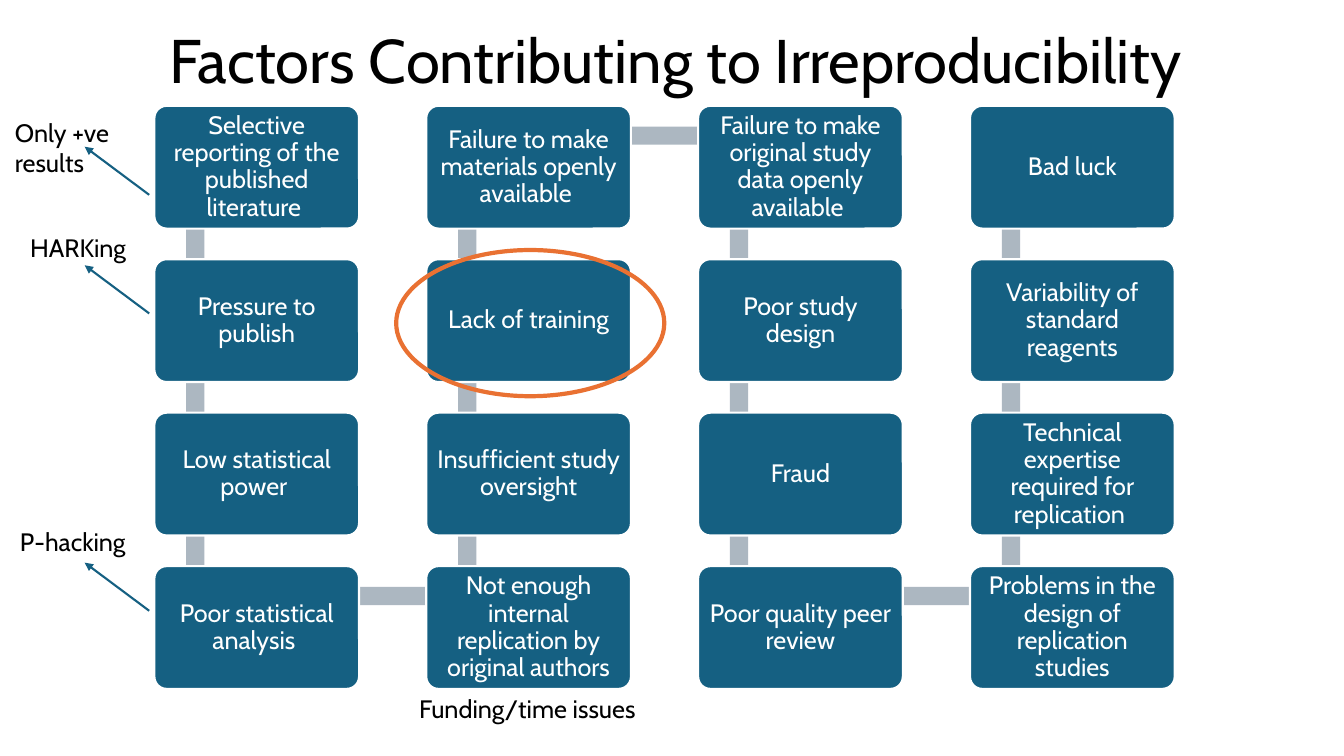
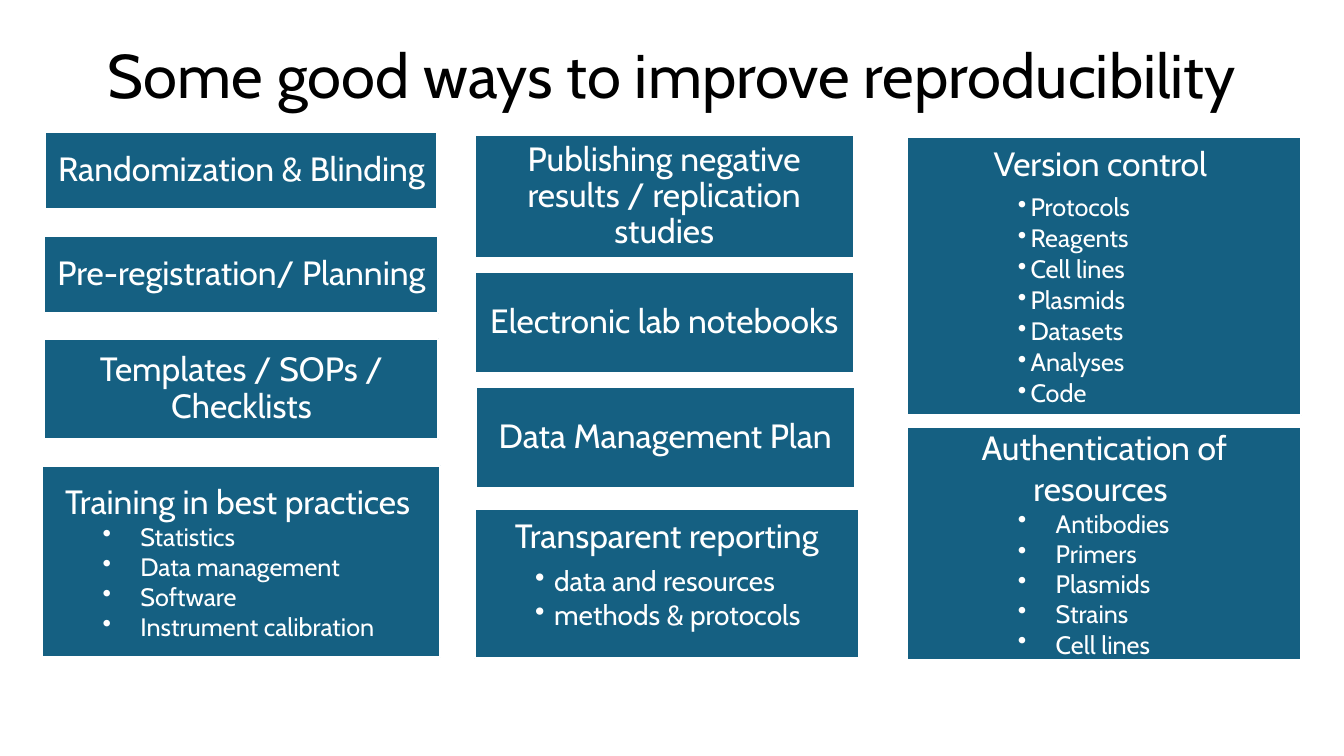
from pptx import Presentation
from pptx.util import Pt
from pptx.dml.color import RGBColor
from pptx.enum.shapes import MSO_CONNECTOR, MSO_SHAPE
from pptx.enum.text import MSO_ANCHOR, PP_ALIGN
from pptx.oxml.ns import qn
from lxml.etree import SubElement

COLORS = {"blue": "156082", "grey": "ACB7C1", "orange": "E97132",
          "white": "FFFFFF", "black": "000000"}


class Deck:
    font = "Cabin"

    def __init__(self):
        self.show = Presentation()
        self.show.slide_width, self.show.slide_height = Pt(960), Pt(540)
        self.slide = None

    def page(self):
        self.slide = self.show.slides.add_slide(self.show.slide_layouts[6])

    def color(self, name):
        return RGBColor.from_string(COLORS[name])

    def fill_par(self, par, text, size, color, align=PP_ALIGN.LEFT, line=1, after=0):
        par.text = text
        par.alignment = align
        par.line_spacing = line
        par.space_after = Pt(after)
        par.font.name = self.font
        par.font.size = Pt(size)
        par.font.color.rgb = self.color(color)

    def label(self, text, x, y, w, h, size=18, align=PP_ALIGN.LEFT, line=1):
        frame = self.slide.shapes.add_textbox(Pt(x), Pt(y), Pt(w), Pt(h)).text_frame
        frame.word_wrap = True
        self.fill_par(frame.paragraphs[0], text, size, "black", align, line)

    def title(self, text, x, y, align):
        self.label(text, x, y, 828, 104.4, 44, align, 0.9)

    def shape(self, kind, x, y, w, h, fill=None, edge=None, width=1.5):
        item = self.slide.shapes.add_shape(kind, Pt(x), Pt(y), Pt(w), Pt(h))
        item.shadow.inherit = False
        if fill:
            item.fill.solid()
            item.fill.fore_color.rgb = self.color(fill)
        else:
            item.fill.background()
        if edge:
            item.line.color.rgb = self.color(edge)
            item.line.width = Pt(width)
        else:
            item.line.fill.background()
        return item

    def card(self, kind, text, x, y, w, h, size, inset, anchor=MSO_ANCHOR.MIDDLE,
             line=0.9, after=0):
        item = self.shape(kind, x, y, w, h, "blue", "white")
        frame = item.text_frame
        frame.word_wrap = True
        frame.vertical_anchor = anchor
        frame.margin_left = frame.margin_right = Pt(inset)
        frame.margin_top = frame.margin_bottom = Pt(inset)
        self.fill_par(frame.paragraphs[0], text, size, "white", PP_ALIGN.CENTER,
                      line, after)
        return item

    def bullets(self, item, texts, size, left, hang, line, after):
        for text in texts:
            par = item.text_frame.add_paragraph()
            props = par._p.get_or_add_pPr()
            props.set("marL", str(Pt(left)))
            props.set("indent", str(-Pt(hang)))
            SubElement(props, qn("a:buChar")).set("char", "•")
            self.fill_par(par, text, size, "white", line=line, after=after)

    def arrow(self, x, y, dx, dy):
        link = self.slide.shapes.add_connector(
            MSO_CONNECTOR.STRAIGHT, Pt(x), Pt(y), Pt(x + dx), Pt(y + dy))
        link.line.color.rgb = self.color("blue")
        link.line.width = Pt(1.5)
        SubElement(link.line._get_or_add_ln(), qn("a:tailEnd")).set("type", "triangle")
        SubElement(link._element.spPr, qn("a:effectLst"))


FACTORS = [
    ["Selective reporting of the published literature ", "Pressure to publish",
     "Low statistical power ", "Poor statistical analysis "],
    ["Failure to make materials openly available ", "Lack of training",
     "Insufficient study oversight", "Not enough internal replication by original authors"],
    ["Failure to make original study data openly available ", "Poor study design",
     "Fraud", "Poor quality peer review"],
    ["Bad luck", "Variability of standard reagents",
     "Technical expertise required for replication ",
     "Problems in the design of replication studies"],
]

CARDS = [
    ("Randomization & Blinding", 32.4, 94.3, 280.1, 55.4),
    ("Pre-registration/ Planning", 31.7, 168.5, 281.5, 55.4),
    ("Templates / SOPs / Checklists", 31.7, 241.9, 281.5, 72),
    ("Publishing negative results / replication studies", 339.1, 96.5, 270.7, 87.5),
    ("Electronic lab notebooks", 339.1, 194.4, 270.7, 72),
    ("Data Management Plan", 339.8, 276.5, 270.7, 72),
]

LISTS = [
    ("Training in best practices ", (30.2, 332.6, 284.4, 136.8), False, 18, 63, 27,
     ["Statistics", "Data management", "Software", "Instrument calibration"]),
    ("Transparent reporting", (339.1, 363.6, 274.3, 106.6), True, 20, 49.6, 13.6,
     ["data and resources", "methods & protocols"]),
    ("Version control ", (648, 97.9, 281.5, 198.7), True, 18, 81, 9,
     ["Protocols", "Reagents", "Cell lines", "Plasmids", "Datasets", "Analyses", "Code"]),
    ("Authentication of resources ", (648, 304.6, 281.5, 166.7), False, 18, 99, 27,
     ["Antibodies", "Primers", "Plasmids", "Strains", "Cell lines"]),
]


def factors(deck):
    deck.page()
    left, top, wide, high = 110.3, 75.6, 146.2, 87.7
    step, drop, thick = 194.2, 109.6, 13
    last = len(FACTORS) - 1
    for col in range(len(FACTORS)):
        x = left + col * step
        for row in range(last):
            deck.shape(MSO_SHAPE.RECTANGLE, x + 22.7, top + row * drop + 22,
                       thick, 108.7, "grey")
        if col < last:
            turn = last if col % 2 == 0 else 0
            deck.shape(MSO_SHAPE.RECTANGLE, x + 29.2, top + turn * drop + 14.8,
                       193.7, thick, "grey")
    for col, names in enumerate(FACTORS):
        for row, name in enumerate(names):
            item = deck.card(MSO_SHAPE.ROUNDED_RECTANGLE, name, left + col * step,
                             top + row * drop, wide, high, 18, 5)
            item.adjustments[0] = 0.1
    deck.shape(MSO_SHAPE.OVAL, 283, 178.6, 191.5, 104.4, edge="orange", width=3)
    deck.label("Funding/time issues", 292.3, 491.8, 172.8, 28.8)
    for text, x, y, high, start in [("Only +ve results", 3.6, 79.9, 51.1, 139.2),
                                    ("HARKing", 14.4, 162.7, 28.8, 223.9),
                                    ("P-hacking", 7.2, 372.2, 28.8, 436.3)]:
        deck.label(text, x, y, 91.4, high)
        deck.arrow(106.6, start, -46.1, -34.4)
    deck.title("Factors Contributing to Irreproducibility", 113.8, 18, PP_ALIGN.LEFT)


def ways(deck):
    deck.page()
    deck.title("Some good ways to improve reproducibility", 66.2, 28.8, PP_ALIGN.CENTER)
    for text, *place in CARDS:
        deck.card(MSO_SHAPE.RECTANGLE, text, *place, 24, 7.2)
    for text, place, airy, size, left, hang, names in LISTS:
        anchor = MSO_ANCHOR.TOP if airy else MSO_ANCHOR.MIDDLE
        line = 0.9 if airy else 1
        item = deck.card(MSO_SHAPE.RECTANGLE, text, *place, 24, 7.2, anchor, line,
                         8.4 if airy else 0)
        deck.bullets(item, names, size, left, hang, line, 0.15 * size if airy else 0)


def main():
    deck = Deck()
    factors(deck)
    ways(deck)
    deck.show.save("out.pptx")


if __name__ == "__main__":
    main()
